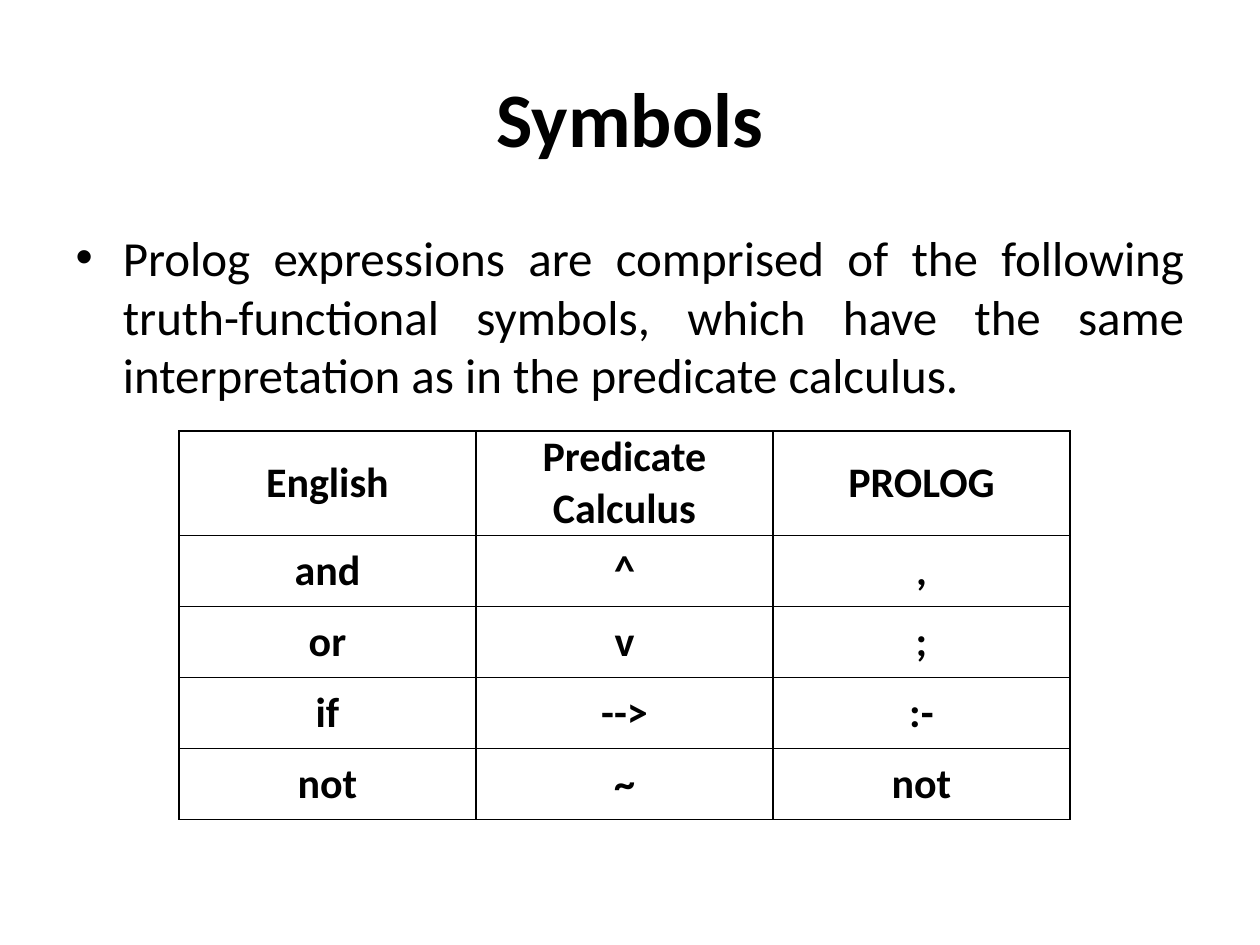
import pptx
import pptx.dml.color
import pptx.enum.text
import pptx.util
from lxml import etree

PX = 914400 / 126
FONT = "Calibri"
BLACK = pptx.dml.color.RGBColor(0x00, 0x00, 0x00)
WHITE = pptx.dml.color.RGBColor(0xFF, 0xFF, 0xFF)
ALIGN = pptx.enum.text.PP_ALIGN
ANCHOR = pptx.enum.text.MSO_ANCHOR
BODY = (
    "Prolog expressions are comprised of the following truth-functional "
    "symbols, which have the same interpretation as in the predicate calculus."
)
SYMBOLS = [
    ("English", "Predicate Calculus", "PROLOG"),
    ("and", "^", ","),
    ("or", "v", ";"),
    ("if", "-->", ":-"),
    ("not", "~", "not"),
]


def px(n):
    """Turn whole pixels into EMU."""
    return pptx.util.Emu(round(n * PX))


def set_text(tf, text, size, align, anchor, bold=False):
    """Write one formatted paragraph into a text frame or cell frame."""
    tf.text = text
    tf.vertical_anchor = anchor
    p = tf.paragraphs[0]
    p.alignment = align
    p.font.name = FONT
    p.font.size = pptx.util.Pt(size)
    p.font.bold = bold
    p.font.color.rgb = BLACK


def place(sp, left, top, width, height):
    """Move a placeholder to a box given in pixels."""
    sp.left, sp.top, sp.width, sp.height = map(px, (left, top, width, height))


def add_borders(cell):
    """Draw a thin black line on all four sides of a cell."""
    tc_pr = cell._tc.get_or_add_tcPr()
    ns = "{%s}" % tc_pr.nsmap["a"]
    for i, side in enumerate(("lnL", "lnR", "lnT", "lnB")):
        ln = etree.Element(ns + side, w=str(pptx.util.Pt(1)))
        fill = etree.SubElement(ln, ns + "solidFill")
        etree.SubElement(fill, ns + "srgbClr", val=str(BLACK))
        tc_pr.insert(i, ln)


def add_symbol_table(slide, left, top, col_width, row_height):
    """Add the bordered table of symbols."""
    rows, cols = len(SYMBOLS), len(SYMBOLS[0])
    frame = slide.shapes.add_table(
        rows, cols, px(left), px(top), px(cols * col_width), px(rows * row_height)
    )
    table = frame.table
    table.horz_banding = False
    for col in table.columns:
        col.width = px(col_width)
    for row, texts in zip(table.rows, SYMBOLS):
        row.height = px(row_height)
        for cell, text in zip(row.cells, texts):
            cell.margin_left = cell.margin_right = px(1)
            cell.margin_top = cell.margin_bottom = px(1)
            cell.fill.solid()
            cell.fill.fore_color.rgb = WHITE
            set_text(cell.text_frame, text, 24, ALIGN.CENTER, ANCHOR.MIDDLE, True)
            cell.vertical_anchor = ANCHOR.MIDDLE
            add_borders(cell)


def main():
    """Build the slide and save it."""
    prs = pptx.Presentation()
    prs.slide_width, prs.slide_height = px(1260), px(945)
    slide = prs.slides.add_slide(prs.slide_layouts[1])
    title, body = slide.placeholders
    place(title, 63, 38, 1134, 158)
    set_text(title.text_frame, "Symbols", 44, ALIGN.CENTER, ANCHOR.MIDDLE, True)
    place(body, 63, 221, 1134, 624)
    set_text(body.text_frame, BODY, 28, ALIGN.JUSTIFY, ANCHOR.TOP)
    add_symbol_table(slide, 179, 431, 297, 71)
    prs.save("out.pptx")


if __name__ == "__main__":
    main()
